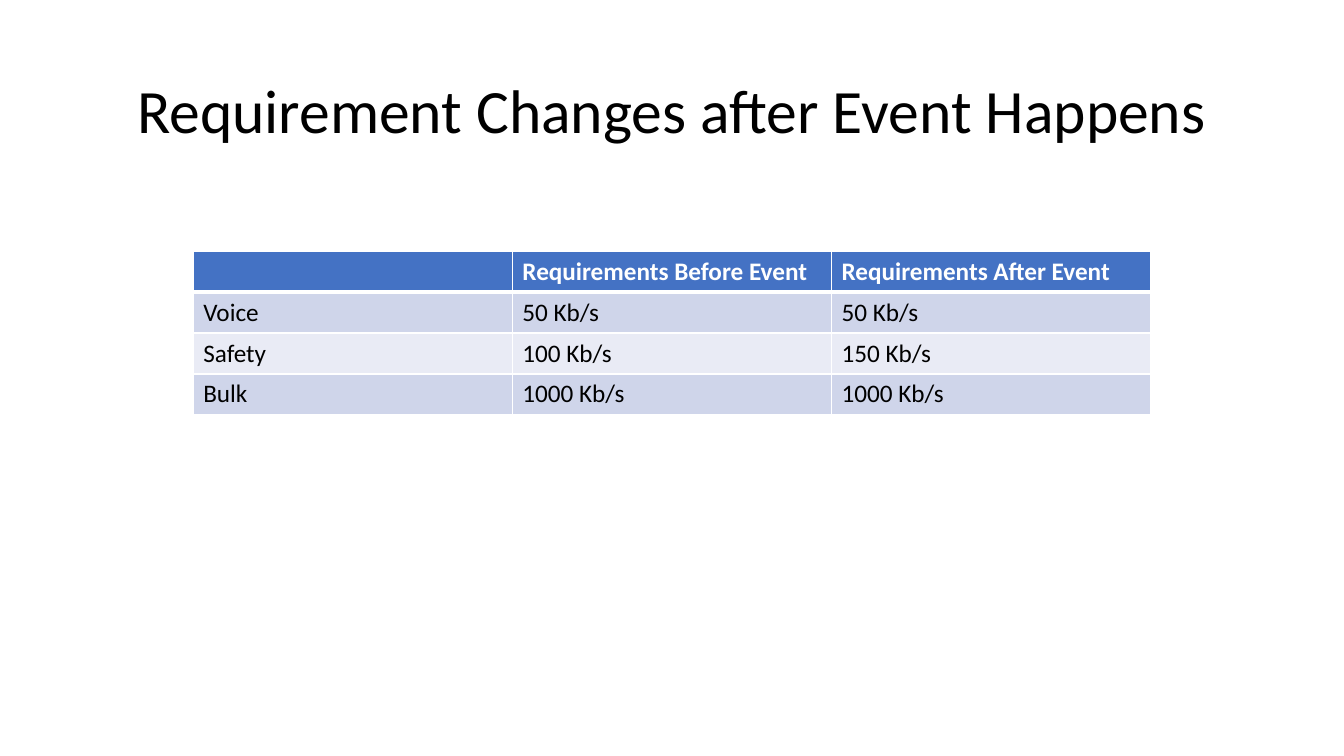
from dataclasses import dataclass

import pptx
import pptx.dml.color
import pptx.enum.text
import pptx.oxml
import pptx.oxml.ns
import pptx.util
from pptx.util import Pt


@dataclass(frozen=True)
class Theme:
    font: str = "Calibri"
    title_size: int = 44
    table_size: int = 18
    text: str = "000000"
    light: str = "FFFFFF"
    header: str = "4472C4"
    bands: tuple = ("CFD5EA", "E9EBF5")


THEME = Theme()
TITLE = "Requirement Changes after Event Happens"
REQUIREMENTS = [
    ("", "Requirements Before Event", "Requirements After Event"),
    ("Voice", "50 Kb/s", "50 Kb/s"),
    ("Safety", "100 Kb/s", "150 Kb/s"),
    ("Bulk", "1000 Kb/s", "1000 Kb/s"),
]


def rgb(code):
    return pptx.dml.color.RGBColor.from_string(code)


def set_font(para, size, color, bold=False):
    font = para.font
    font.name = THEME.font
    font.size = Pt(size)
    font.bold = bold
    font.color.rgb = rgb(color)


def add_title(page, text):
    box = page.shapes.add_textbox(Pt(66), Pt(28.75), Pt(828), Pt(104.4))
    frame = box.text_frame
    frame.word_wrap = True
    frame.vertical_anchor = pptx.enum.text.MSO_ANCHOR.MIDDLE
    para = frame.paragraphs[0]
    para.text = text
    para.alignment = pptx.enum.text.PP_ALIGN.CENTER
    para.line_spacing = 0.9
    set_font(para, THEME.title_size, THEME.text)


def set_borders(cell, top, bottom):
    """Draw the cell's borders; call before filling, as fills follow lines in the XML."""
    properties = cell._tc.get_or_add_tcPr()
    for side, width in (("L", 1), ("R", 1), ("T", top), ("B", bottom)):
        properties.append(pptx.oxml.parse_xml(
            f'<a:ln{side} {pptx.oxml.ns.nsdecls("a")} w="{Pt(width)}">'
            f'<a:solidFill><a:srgbClr val="{THEME.light}"/></a:solidFill></a:ln{side}>'))


def add_requirements_table(page, rows):
    row_height = Pt(29.2)
    table = page.shapes.add_table(
        len(rows), len(rows[0]), Pt(138), Pt(179.5), Pt(684), row_height * len(rows)).table
    for row_index, values in enumerate(rows):
        table.rows[row_index].height = row_height
        is_header = row_index == 0
        fill = THEME.header if is_header else THEME.bands[(row_index - 1) % 2]
        color = THEME.light if is_header else THEME.text
        for column_index, value in enumerate(values):
            cell = table.cell(row_index, column_index)
            set_borders(cell, top=3 if row_index == 1 else 1, bottom=3 if is_header else 1)
            cell.fill.solid()
            cell.fill.fore_color.rgb = rgb(fill)
            para = cell.text_frame.paragraphs[0]
            para.text = value
            set_font(para, THEME.table_size, color, bold=is_header)


def main():
    deck = pptx.Presentation()
    deck.slide_width, deck.slide_height = Pt(960), Pt(540)
    page = deck.slides.add_slide(deck.slide_layouts[6])
    add_title(page, TITLE)
    add_requirements_table(page, REQUIREMENTS)
    deck.save("out.pptx")


if __name__ == "__main__":
    main()
